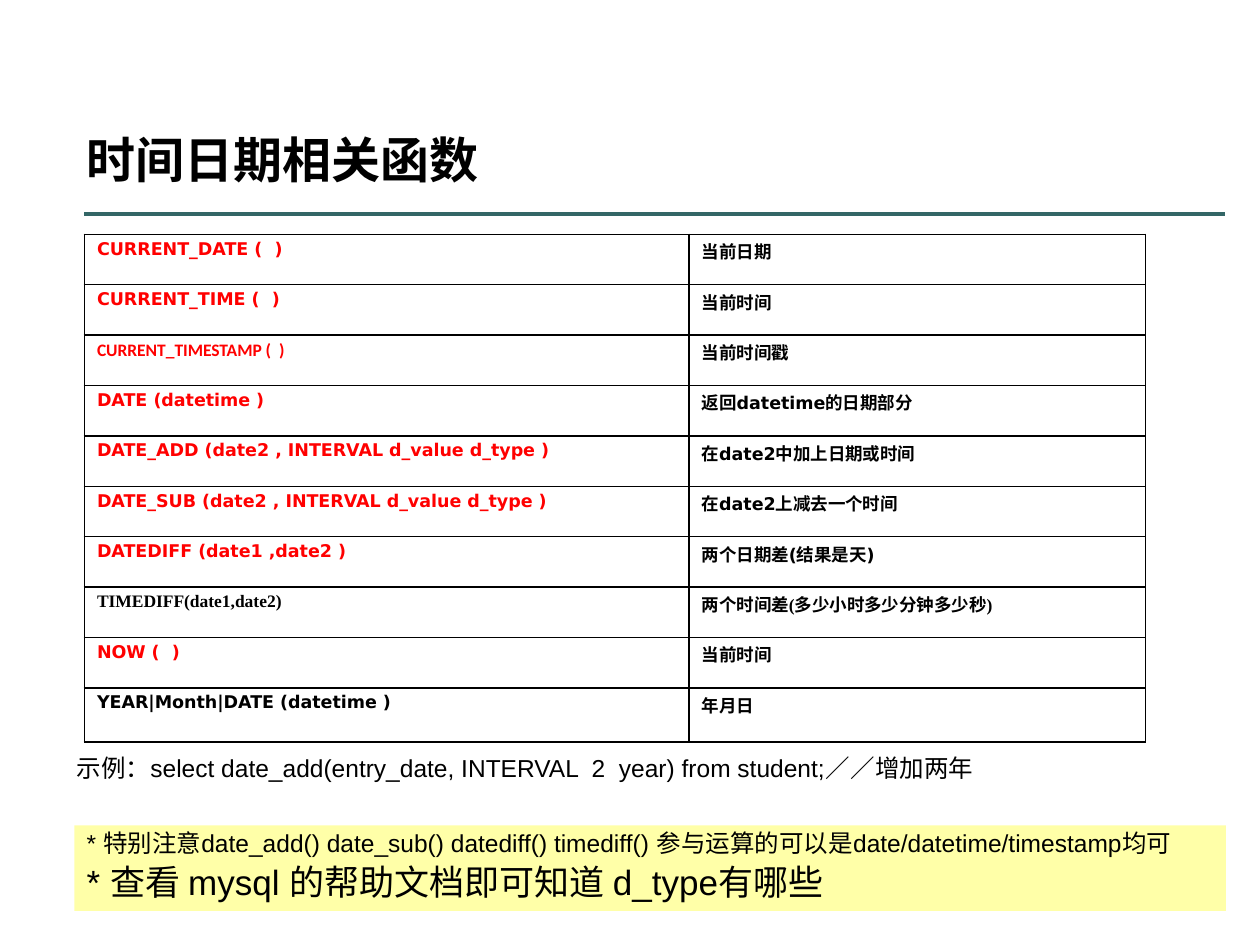
import pptx
import pptx.util
import pptx.dml.color
import pptx.enum.shapes
import pptx.enum.text
import pptx.oxml
import lxml.etree

Inches = pptx.util.Inches
Pt = pptx.util.Pt
SANS, SERIF, PLAIN = "DejaVu Sans", "Times New Roman", "Calibri"
RED, BLACK = "FF0000", "000000"

# Each row: function, meaning, colour of the function, fonts of the two cells
ROWS = [
    ("CURRENT_DATE (  )", "当前日期", RED, SANS, SANS),
    ("CURRENT_TIME (  )", "当前时间", RED, SANS, SANS),
    ("CURRENT_TIMESTAMP (  )", "当前时间戳", RED, PLAIN, PLAIN),
    ("DATE (datetime )", "返回datetime的日期部分", RED, SANS, SANS),
    ("DATE_ADD (date2 , INTERVAL d_value d_type )", "在date2中加上日期或时间", RED, SANS, SANS),
    ("DATE_SUB (date2 , INTERVAL d_value d_type )", "在date2上减去一个时间", RED, SANS, SANS),
    ("DATEDIFF (date1 ,date2 )", "两个日期差(结果是天)", RED, SANS, SANS),
    ("TIMEDIFF(date1,date2)", "两个时间差(多少小时多少分钟多少秒)", BLACK, SERIF, SERIF),
    ("NOW (  )", "当前时间", RED, SANS, SANS),
    ("YEAR|Month|DATE (datetime )", "年月日", BLACK, SANS, SERIF),
]
EXAMPLE = "示例：select date_add(entry_date, INTERVAL  2  year) from student;／／增加两年"
NOTES = [
    ("* 特别注意date_add() date_sub() datediff() timediff() 参与运算的可以是date/datetime/timestamp均可", 14),
    ("* 查看 mysql 的帮助文档即可知道 d_type有哪些", 20),
]


def color(code):
    return pptx.dml.color.RGBColor.from_string(code)


def write(para, text, size=14, face="Arial", ink=BLACK, bold=False, hang=0.0, before=0):
    """Fill a paragraph with one run; hang is the hanging indent in inches."""
    props = para._p.get_or_add_pPr()
    props.set("marL", str(Inches(hang)))
    props.set("indent", str(-Inches(hang)))
    para.alignment = pptx.enum.text.PP_ALIGN.LEFT
    para.line_spacing = 0.9
    para.space_before = Pt(before)
    run = para.add_run()
    run.text = text
    run.font.size = Pt(size)
    run.font.name = face
    run.font.bold = bold
    run.font.color.rgb = color(ink)


def add_child(parent, tag, **attrs):
    node = lxml.etree.SubElement(parent, pptx.oxml.ns.qn(tag))
    for name, value in attrs.items():
        node.set(name, str(value))
    return node


def add_text(slide, left, top, width, height):
    frame = slide.shapes.add_textbox(left, top, width, height).text_frame
    frame.word_wrap = True
    return frame


def add_title(slide, left, top, width, height):
    frame = add_text(slide, left, top, width, height)
    frame.vertical_anchor = pptx.enum.text.MSO_ANCHOR.BOTTOM
    write(frame.paragraphs[0], "时间日期相关函数", size=28, face=PLAIN, bold=True)


def add_rule(slide, left, top, width):
    kind = pptx.enum.shapes.MSO_CONNECTOR.STRAIGHT
    rule = slide.shapes.add_connector(kind, left, top, left + width, top)
    rule.line.color.rgb = color("336666")
    rule.line.width = Pt(2)
    add_child(rule._element.spPr, "a:effectLst")


def add_border(cell):
    props = cell._tc.get_or_add_tcPr()
    for side in ("a:lnL", "a:lnR", "a:lnT", "a:lnB"):
        line = add_child(props, side, w=Pt(1))
        add_child(add_child(line, "a:solidFill"), "a:srgbClr", val=BLACK)


def add_grid(slide, left, top, width, height):
    table = slide.shapes.add_table(len(ROWS), 2, left, top, width, height).table
    table.first_row = table.horz_banding = False
    table.columns[0].width = Inches(4.8)
    table.columns[1].width = width - Inches(4.8)
    last = len(ROWS) - 1
    for i, (call, sense, ink, *faces) in enumerate(ROWS):
        table.rows[i].height = Inches(0.43 if i == last else 0.4)
        for j, (text, shade) in enumerate([(call, ink), (sense, BLACK)]):
            cell = table.cell(i, j)
            add_border(cell)
            cell.fill.background()
            hang = 0 if faces[j] == PLAIN else 0.25
            write(cell.text_frame.paragraphs[0], text, size=10, face=faces[j],
                  ink=shade, bold=True, hang=hang)


def add_example(slide, left, top, width, height):
    frame = add_text(slide, left, top, width, height)
    write(frame.paragraphs[0], EXAMPLE, hang=0.38)


def add_notes(slide, left, top, width, height):
    kind = pptx.enum.shapes.MSO_SHAPE.RECTANGLE
    box = slide.shapes.add_shape(kind, left, top, width, height)
    box.shadow.inherit = False
    box.line.fill.background()
    box.fill.solid()
    box.fill.fore_color.rgb = color("FFFF00")
    tint = box._element.spPr.find(".//" + pptx.oxml.ns.qn("a:srgbClr"))
    add_child(tint, "a:alpha", val=34000)
    frame = box.text_frame
    frame.word_wrap = True
    frame.vertical_anchor = pptx.enum.text.MSO_ANCHOR.TOP
    for i, (text, size) in enumerate(NOTES):
        para = frame.add_paragraph() if i else frame.paragraphs[0]
        write(para, text, size=size, hang=0.38, before=0.2 * size if i else 0)


def main():
    deck = pptx.Presentation()
    deck.slide_width, deck.slide_height = Inches(10), Inches(7.5)
    slide = deck.slides.add_slide(deck.slide_layouts[6])
    add_title(slide, Inches(0.59), Inches(0.84), Inches(8.9), Inches(0.71))
    add_rule(slide, Inches(0.67), Inches(1.7), Inches(9.05))
    add_grid(slide, Inches(0.67), Inches(1.86), Inches(8.42), Inches(4.03))
    add_example(slide, Inches(0.51), Inches(5.95), Inches(8.51), Inches(0.31))
    add_notes(slide, Inches(0.59), Inches(6.55), Inches(9.14), Inches(0.68))
    deck.save("out.pptx")


if __name__ == "__main__":
    main()
